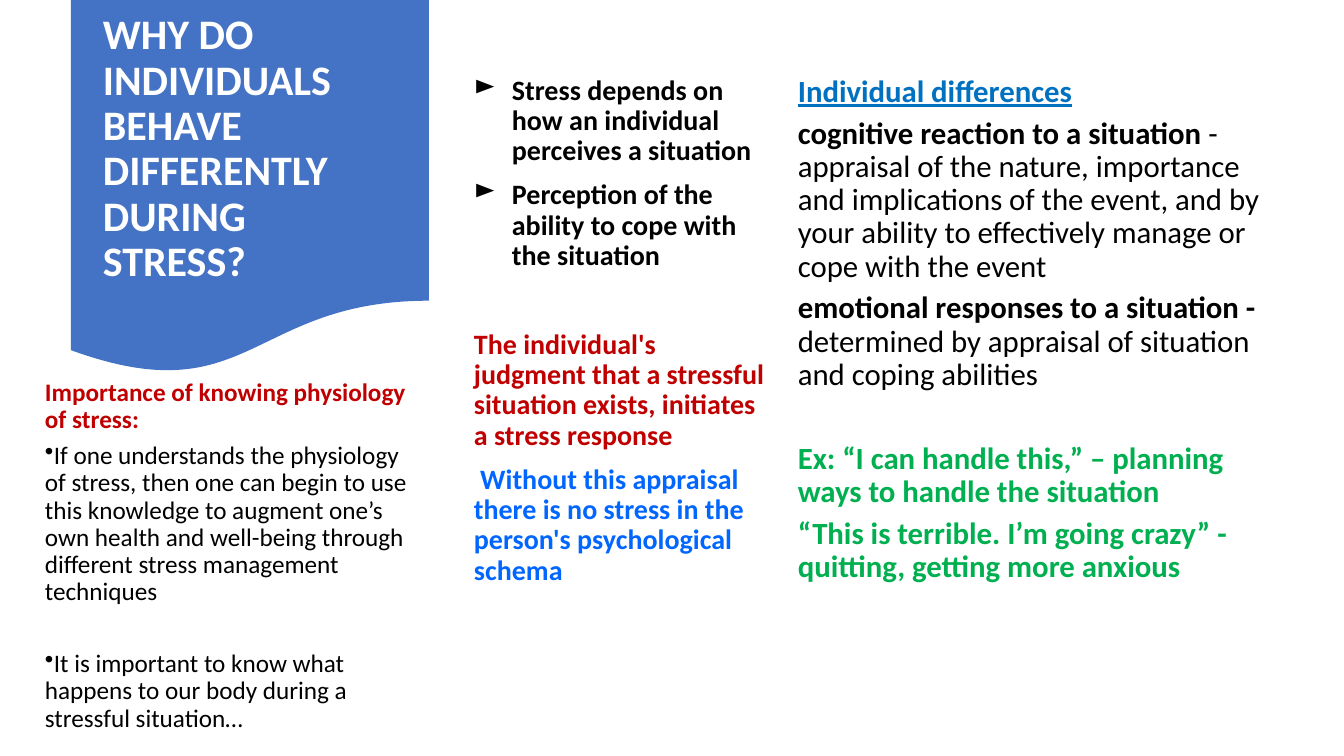
from dataclasses import dataclass

from lxml import etree
from pptx import Presentation
from pptx.dml.color import RGBColor
from pptx.enum.shapes import MSO_SHAPE
from pptx.enum.text import MSO_ANCHOR
from pptx.oxml.ns import qn
from pptx.util import Emu, Pt

WAVE = MSO_SHAPE.FLOWCHART_DOCUMENT
TOP, MIDDLE = MSO_ANCHOR.TOP, MSO_ANCHOR.MIDDLE
SCALE = 914400 / 100.8


@dataclass(frozen=True)
class Theme:
    font: str = "Calibri"
    banner: str = "4472C4"
    white: str = "FFFFFF"
    black: str = "000000"
    head: str = "0070C0"
    red: str = "C00000"
    blue: str = "0066FF"
    green: str = "00B050"
    title: int = 30
    wide: int = 22
    mid: int = 20
    small: int = 18


THEME = Theme()


def px(n):
    return Emu(round(n * SCALE))


def rgb(code):
    return RGBColor.from_string(code)


def add_wave(slide, *at):
    wave = slide.shapes.add_shape(WAVE, *map(px, at))
    wave.shadow.inherit = False
    wave.fill.solid()
    wave.fill.fore_color.rgb = rgb(THEME.banner)
    wave.line.fill.background()


def add_box(slide, *at, anchor=TOP):
    box = slide.shapes.add_textbox(*map(px, at))
    box.text_frame.word_wrap = True
    box.text_frame.vertical_anchor = anchor
    return box


def add_para(box, text, size, color=THEME.black, bold=False, rest="",
             before=0, after=6):
    """Add a paragraph; rest is a plain tail after a bold lead."""
    frame = box.text_frame
    para = frame.paragraphs[0]
    if para.runs:
        para = frame.add_paragraph()
    para.line_spacing = 0.9
    para.space_before, para.space_after = Pt(before), Pt(after)
    font = para.font
    font.name, font.size = THEME.font, Pt(size)
    font.color.rgb = rgb(color)
    lead = para.add_run()
    lead.text = text
    if rest:
        lead.font.bold = bold
        tail = para.add_run()
        tail.text = rest
        tail.font.bold = False
    else:
        font.bold = bold
    return para


def set_bullet(para, char, left, hang):
    props = para._p.get_or_add_pPr()
    props.set("marL", str(px(left)))
    props.set("indent", str(-px(hang)))
    mark = etree.Element(qn("a:buChar"), char=char)
    props.find(qn("a:defRPr")).addprevious(mark)


def add_title(slide):
    add_wave(slide, 71, 0, 358, 375)
    box = add_box(slide, 93, 19, 313, 261, anchor=MIDDLE)
    add_para(box, "WHY DO INDIVIDUALS BEHAVE DIFFERENTLY DURING STRESS?",
             THEME.title, THEME.white, True)


def add_left(slide):
    box = add_box(slide, 35, 375, 388, 362)
    add_para(box, "Importance of knowing physiology of stress:",
             THEME.small, THEME.red, True)
    points = (
        ("If one understands the physiology of stress, then one can begin to "
         "use this knowledge to augment one’s own health and well-being "
         "through different stress management techniques", 0),
        ("It is important to know what happens to our body during a "
         "stressful situation…", 26),
    )
    for text, gap in points:
        para = add_para(box, text, THEME.small, before=gap)
        set_bullet(para, "•", 0, 25)


def add_center(slide):
    box = add_box(slide, 464, 71, 318, 615)
    box.line.color.rgb = rgb(THEME.white)
    box.line.width = Pt(0.75)
    for text in ("Stress depends on how an individual perceives a situation",
                 "Perception of the ability to cope with the situation"):
        para = add_para(box, text, THEME.mid, bold=True, before=10, after=0)
        set_bullet(para, "►", 38, 38)
    add_para(box, "The individual's judgment that a stressful situation "
             "exists, initiates a stress response",
             THEME.mid, THEME.red, True, before=42, after=0)
    add_para(box, " Without this appraisal there is no stress in the "
             "person's psychological schema",
             THEME.mid, THEME.blue, True, before=10, after=0)


def add_right(slide):
    box = add_box(slide, 788, 71, 486, 615)
    head = add_para(box, "Individual differences", THEME.wide, THEME.head, True)
    head.font.underline = True
    add_para(box, "cognitive reaction to a situation ", THEME.wide, bold=True,
             rest="- appraisal of the nature, importance and implications of "
             "the event, and by your ability to effectively manage or cope "
             "with the event")
    add_para(box, "emotional responses to a situation - ", THEME.wide, bold=True,
             rest="determined by appraisal of situation and coping abilities")
    add_para(box, "Ex: “I can handle this,” – planning ways to handle the "
             "situation", THEME.wide, THEME.green, True, before=30)
    add_para(box, "“This is terrible. I’m going crazy” - quitting, getting "
             "more anxious", THEME.wide, THEME.green, True)


def main():
    deck = Presentation()
    deck.slide_width, deck.slide_height = px(1344), px(756)
    slide = deck.slides.add_slide(deck.slide_layouts[6])
    # Banner and title
    add_title(slide)
    # Three columns of text
    add_right(slide)
    add_center(slide)
    add_left(slide)
    deck.save("out.pptx")


main()
